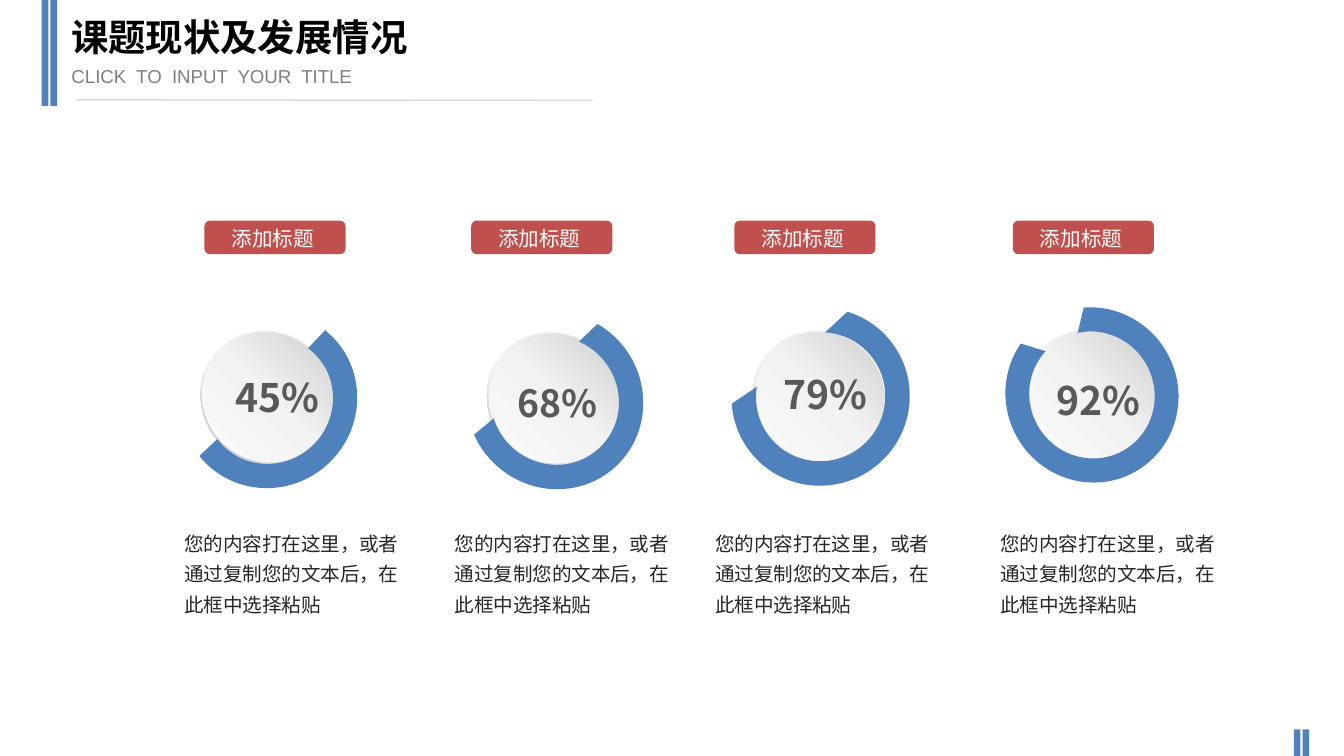
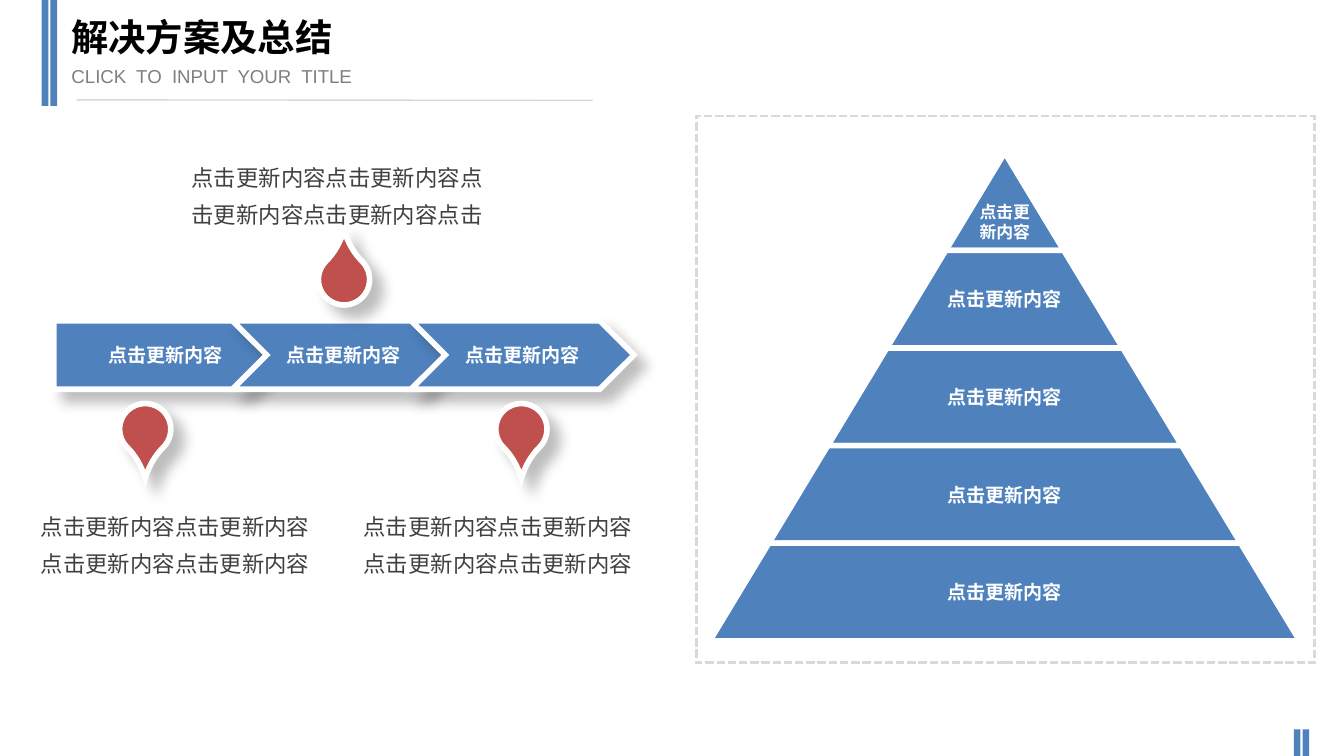
from math import cos, radians, sin, tan

from lxml import etree
from pptx import Presentation
from pptx.dml.color import RGBColor
from pptx.enum.dml import MSO_LINE
from pptx.enum.shapes import MSO_CONNECTOR, MSO_SHAPE
from pptx.enum.text import MSO_ANCHOR, MSO_AUTO_SIZE, PP_ALIGN
from pptx.oxml.ns import qn
from pptx.util import Pt

CENTER = PP_ALIGN.CENTER
LEFT = PP_ALIGN.LEFT
MIDDLE = MSO_ANCHOR.MIDDLE
BOTTOM = MSO_ANCHOR.BOTTOM
TOP = MSO_ANCHOR.TOP

COLORS = {
    "blue": "4F81BD", "red": "C0504D", "white": "FFFFFF", "black": "000000",
    "subtitle": "7F7F7F", "rule": "D8D8D8", "frame": "D9D9D9",
    "percent": "595959", "caption": "262626", "note": "404040",
}
LATIN, CJK = "Arial", "Noto Sans CJK SC"

SUBTITLE = "CLICK  TO  INPUT  YOUR  TITLE"
STATUS_TITLE = "课题现状及发展情况"
SOLUTION_TITLE = "解决方案及总结"

TAG = "添加标题"
CAPTION = "您的内容打在这里，或者通过复制您的文本后，在此框中选择粘贴"
# Each ring opens upwards before rotation; its ends rise by the given
# angles above the horizontal on the outer and inner edge.
GAUGES = [
    {"percent": "45%", "size": 21, "tag": 109.5, "caption": 93.4,
     "disc": (108, 176.4), "label": (119.1, 196.6),
     "ring": (110.9, 203, 95.8, 51.8), "rotation": 315, "ends": (6.3, 8)},
    {"percent": "68%", "size": 20, "tag": 252.4, "caption": 238.3,
     "disc": (261.4, 177.1), "label": (270, 200.2),
     "ring": (261.4, 195.1, 93.6, 63.4), "rotation": 318.1, "ends": (18.5, 25)},
    {"percent": "79%", "size": 21, "tag": 393.4, "caption": 377.8,
     "disc": (403.9, 176.4), "label": (412.6, 194.8),
     "ring": (398.2, 183.6, 95.8, 74.2), "rotation": 321.5, "ends": (34.3, 47.8)},
    {"percent": "92%", "size": 21, "tag": 542.6, "caption": 530.6,
     "disc": (549.4, 175.7), "label": (558.7, 198),
     "ring": (540, 168.5, 92.2, 90), "rotation": 330.2, "ends": (65.1, 72.8)},
]
INNER_RATIO = 0.725
RIM_STOPS = [(0, "FFFFFF"), (55, "F2F2F2"), (100, "A6A6A6")]
DISC_STOPS = [(0, "FFFFFF"), (51, "F2F2F2"), (100, "BFBFBF")]

UPDATE = "点击更新内容"
PYRAMID = [["点击更", "新内容"]] + [[UPDATE]] * 4
STEPS = [UPDATE] * 3
DROPS = [(64.1, 216.2, 135), (265.6, 216.2, 135), (170.6, 136, 315)]
NOTES = [
    (94.6, 79.4, 172.1, UPDATE * 4 + "点击"),
    (11.1, 266.3, 165.6, UPDATE * 4),
    (187.2, 266.3, 159.1, UPDATE * 4),
]
TIGHT = (5.1, 2.6, 5.1, 2.6)


def rgb(name):
    return RGBColor.from_string(COLORS[name])


def paint(shape, fill=None, line=None, width=3):
    shape.shadow.inherit = False
    if fill:
        shape.fill.solid()
        shape.fill.fore_color.rgb = rgb(fill)
    else:
        shape.fill.background()
    if line:
        shape.line.color.rgb = rgb(line)
        shape.line.width = Pt(width)
        outline = shape._element.spPr.find(qn("a:ln"))
        etree.SubElement(outline, qn("a:miter"), lim="800000")
    else:
        shape.line.fill.background()


def add_preset(slide, kind, x, y, width, height, fill=None, line=None, line_width=3):
    shape = slide.shapes.add_shape(kind, Pt(x), Pt(y), Pt(width), Pt(height))
    paint(shape, fill, line, line_width)
    return shape


def add_outline(slide, points, fill, line=None):
    points = [(Pt(x), Pt(y)) for x, y in points]
    builder = slide.shapes.build_freeform(*points[0], scale=1.0)
    builder.add_line_segments(points[1:], close=True)
    shape = builder.convert_to_shape()
    paint(shape, fill, line)
    return shape


def write(shape, lines, size, color, latin=LATIN, bold=False, align=LEFT,
          anchor=TOP, spacing=None, insets=(7.2, 3.6, 7.2, 3.6), wrap=True):
    frame = shape.text_frame
    frame.word_wrap = wrap
    frame.vertical_anchor = anchor
    (frame.margin_left, frame.margin_top,
     frame.margin_right, frame.margin_bottom) = map(Pt, insets)
    frame.text = "\n".join(lines)
    for paragraph in frame.paragraphs:
        paragraph.alignment = align
        if spacing:
            paragraph.line_spacing = spacing
        for run in paragraph.runs:
            run.font.size = Pt(size)
            run.font.bold = bold
            run.font.color.rgb = rgb(color)
            run.font.name = latin
            east_asian = etree.SubElement(run.font._element, qn("a:ea"))
            east_asian.set("typeface", CJK)


def add_text(slide, x, y, width, height, text, size, color, grow=True, **style):
    box = slide.shapes.add_textbox(Pt(x), Pt(y), Pt(width), Pt(height))
    write(box, [text], size, color, **style)
    if grow:
        box.text_frame.auto_size = MSO_AUTO_SIZE.SHAPE_TO_FIT_TEXT


def add_gradient(shape, stops, angle):
    """Fill with colour stops at an angle that ignores the shape's rotation."""
    shape.fill.gradient()
    gradient = shape._element.spPr.find(qn("a:gradFill"))
    gradient.set("rotWithShape", "0")
    for child in list(gradient):
        gradient.remove(child)
    stop_list = etree.SubElement(gradient, qn("a:gsLst"))
    for position, color in stops:
        stop = etree.SubElement(stop_list, qn("a:gs"), pos=str(position * 1000))
        etree.SubElement(stop, qn("a:srgbClr"), val=color)
    etree.SubElement(gradient, qn("a:lin"), ang=str(angle * 60000), scaled="0")


def add_shadow(shape):
    effects = shape._element.spPr.find(qn("a:effectLst"))
    shadow = etree.SubElement(
        effects, qn("a:outerShdw"), blurRad=str(Pt(7)), dist=str(Pt(8)),
        dir=str(45 * 60000), algn="tl", rotWithShape="0")
    color = etree.SubElement(shadow, qn("a:srgbClr"), val=COLORS["black"])
    etree.SubElement(color, qn("a:alpha"), val="25000")


def add_base_slide(presentation, title):
    slide = presentation.slides.add_slide(presentation.slide_layouts[6])
    for left, top, height in ((22.3, 0, 56.8), (693.1, 390.8, 14.2)):
        for offset in (0, 4.7):
            add_preset(slide, MSO_SHAPE.RECTANGLE, left + offset, top, 3.6, height, "blue")
    rule = slide.shapes.add_connector(
        MSO_CONNECTOR.STRAIGHT, Pt(41), Pt(53.5), Pt(317.5), Pt(53.8))
    rule.line.color.rgb = rgb("rule")
    rule.line.width = Pt(0.75)
    etree.SubElement(rule._element.spPr, qn("a:effectLst"))
    add_text(slide, 31.2, 31, 226.8, 19.4, SUBTITLE, 10, "subtitle")
    add_text(slide, 31, 4.3, 290.9, 36, title, 20, "black", bold=True, grow=False)
    return slide


def edge_points(center_x, center_y, radius_x, radius_y, rise):
    """Cubic curve points of an elliptic edge, split at its extremes."""
    def point(angle, reach=0):
        a = radians(angle)
        return (center_x + radius_x * (cos(a) - reach * sin(a)),
                center_y + radius_y * (sin(a) + reach * cos(a)))

    stops = [-rise, 0, 90, 180, 180 + rise]
    points = [point(stops[0])]
    for start, end in zip(stops, stops[1:]):
        reach = 4 / 3 * tan(radians(end - start) / 4)
        points += [point(start, reach), point(end, -reach), point(end)]
    return points


def add_ring(slide, box, rotation, ends):
    x, y, width, height = box
    radius_x, radius_y = width / 2, height / (1 + sin(radians(ends[0])))
    center = (x + radius_x, y + height - radius_y)
    outer = edge_points(*center, radius_x, radius_y, ends[0])
    inner = edge_points(*center, radius_x * INNER_RATIO, radius_y * INNER_RATIO, ends[1])
    ring = add_outline(slide, outer + inner[::-1], "blue")
    lines = list(ring._element.spPr.iter(qn("a:lnTo")))
    curved = lines[:len(outer) - 1] + lines[len(outer):]
    for index in range(0, len(curved), 3):
        first = curved[index]
        first.tag = qn("a:cubicBezTo")
        for follower in curved[index + 1:index + 3]:
            first.append(follower[0])
            follower.getparent().remove(follower)
    ring.rotation = rotation


def add_gauge(slide, gauge):
    x, y = gauge["disc"]
    rim = add_preset(slide, MSO_SHAPE.DONUT, x, y, 70.6, 72.7)
    rim.adjustments[0] = 0.049
    add_gradient(rim, RIM_STOPS, 135)
    disc = add_preset(slide, MSO_SHAPE.OVAL, x + 1, y + 1, 68.4, 70.6)
    add_gradient(disc, DISC_STOPS, 315)
    rim.rotation = disc.rotation = 315
    add_text(slide, *gauge["label"], 65, 32.4, gauge["percent"], gauge["size"],
             "percent", latin=CJK, bold=True)
    add_ring(slide, gauge["ring"], gauge["rotation"], gauge["ends"])
    add_preset(slide, MSO_SHAPE.FLOWCHART_ALTERNATE_PROCESS,
               gauge["tag"], 118.2, 75.6, 18, "red")
    add_text(slide, gauge["tag"] + 7.1, 117.4, 59, 20.9, TAG, 11, "white",
             latin=CJK, align=CENTER, wrap=False)
    add_text(slide, gauge["caption"], 278.5, 129.6, 54.7, CAPTION, 10.5, "caption",
             latin=CJK, spacing=1.3, insets=(5.4, 2.7, 5.4, 2.7))


def add_pyramid(slide):
    center, top, height, half_step = 538.3, 81.8, 52.3, 31.6
    for level, lines in enumerate(PYRAMID):
        y, upper, lower = top + level * height, level * half_step, (level + 1) * half_step
        points = [(center - lower, y + height), (center - upper, y),
                  (center + upper, y), (center + lower, y + height)]
        tip = level == 0
        if tip:
            del points[2]
        band = add_outline(slide, points, "blue", "white")
        write(band, lines, 9 if tip else 10.2, "white", bold=True, align=CENTER,
              anchor=BOTTOM if tip else MIDDLE,
              insets=(5.1, 2.6, 5.1, 4.3) if tip else TIGHT)
    frame = add_preset(slide, MSO_SHAPE.RECTANGLE, 373, 62.2, 331.2, 293,
                       line="frame", line_width=1.5)
    frame.line.dash_style = MSO_LINE.SQUARE_DOT


def add_process(slide):
    left, top, pitch, width, height, tip = 28.8, 171.8, 95.7, 119.5, 36.7, 18.4
    for index, text in enumerate(STEPS):
        x = left + index * pitch
        points = [(x, top), (x + width - tip, top), (x + width, top + height / 2),
                  (x + width - tip, top + height), (x, top + height)]
        if index:
            points.append((x + tip, top + height / 2))
        step = add_outline(slide, points, "blue", "white")
        add_shadow(step)
        write(step, [text], 10.2, "white", bold=True, align=CENTER,
              anchor=MIDDLE, insets=TIGHT)
    for x, y, rotation in DROPS:
        drop = add_preset(slide, MSO_SHAPE.TEAR, x, y, 27.4, 27.4, "red", "white")
        drop.adjustments[0] = 1.358
        drop.rotation = rotation
        add_shadow(drop)
    for x, y, note_width, text in NOTES:
        add_text(slide, x, y, note_width, 46, text, 12, "note",
                 align=CENTER, spacing=1.4, insets=TIGHT)


def main():
    presentation = Presentation()
    presentation.slide_width, presentation.slide_height = Pt(720), Pt(405)
    status = add_base_slide(presentation, STATUS_TITLE)
    for gauge in GAUGES:
        add_gauge(status, gauge)
    solution = add_base_slide(presentation, SOLUTION_TITLE)
    add_pyramid(solution)
    add_process(solution)
    presentation.save("out.pptx")


if __name__ == "__main__":
    main()
